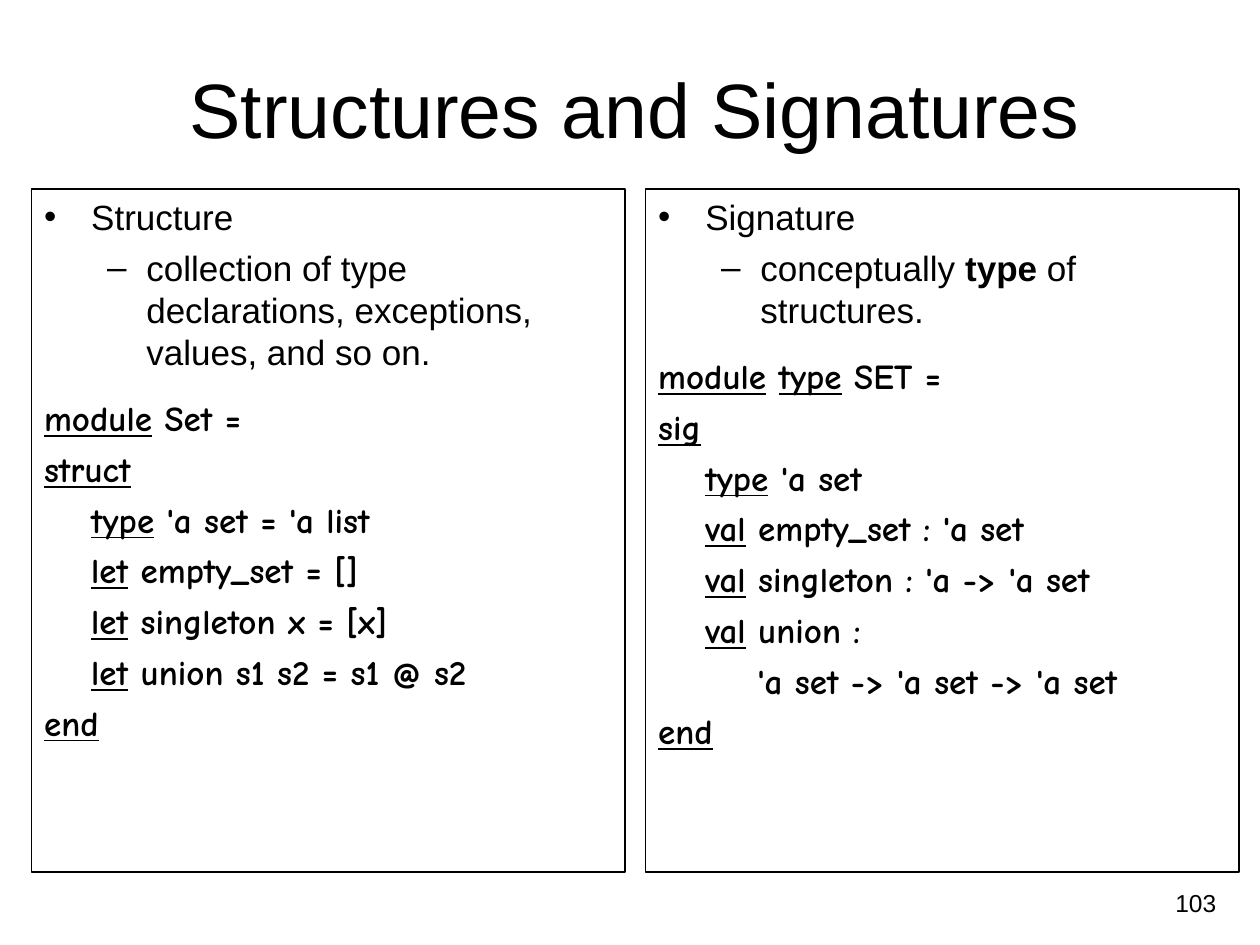
from lxml.etree import SubElement
from pptx import Presentation
from pptx.dml.color import RGBColor
from pptx.enum.shapes import MSO_SHAPE
from pptx.enum.text import MSO_ANCHOR, PP_ALIGN
from pptx.oxml.ns import qn
from pptx.util import Cm, Pt

COLORS = {"ink": "000000"}
PROSE_FONT = "Arial"
CODE_FONT = "Comic Neue"
BODY_SIZE = 20
MARGIN = 0.64
PANEL_TOP, PANEL_WIDTH, PANEL_HEIGHT = 3.81, 11.96, 13.77
PANEL_STEP = 12.38
CODE_INDENTS = [0, 0.95, 2]
BULLETS = [("•", 0.95, 0.95), ("–", 2.06, 0.79)]

STRUCTURE = {
    "prose": ["Structure",
              "collection of type declarations, exceptions, values, and so on."],
    "code": [
        (0, "*module* Set ="),
        (0, "*struct*"),
        (1, "*type* 'a set = 'a list"),
        (1, "*let* empty_set = []"),
        (1, "*let* singleton x = [x]"),
        (1, "*let* union s1 s2 = s1 @ s2"),
        (0, "*end*"),
    ],
}
SIGNATURE = {
    "prose": ["Signature", "conceptually *type* of structures."],
    "code": [
        (0, "*module* *type* SET ="),
        (0, "*sig*"),
        (1, "*type* 'a set"),
        (1, "*val* empty_set : 'a set"),
        (1, "*val* singleton : 'a -> 'a set"),
        (1, "*val* union :"),
        (2, "'a set -> 'a set -> 'a set"),
        (0, "*end*"),
    ],
}


def color(name):
    return RGBColor.from_string(COLORS[name])


def add_run(paragraph, text, size, font=PROSE_FONT, bold=False, underline=False):
    run = paragraph.add_run()
    run.text = text
    run.font.size = Pt(size)
    run.font.name = font
    run.font.bold = bold
    run.font.underline = underline
    run.font.color.rgb = color("ink")


def set_insets(frame):
    frame.word_wrap = True
    frame.margin_left = frame.margin_right = Cm(0.25)
    frame.margin_top = frame.margin_bottom = Cm(0.13)


def add_label(slide, box, text, size, align, anchor=MSO_ANCHOR.TOP):
    frame = slide.shapes.add_textbox(*map(Cm, box)).text_frame
    set_insets(frame)
    frame.vertical_anchor = anchor
    paragraph = frame.paragraphs[0]
    paragraph.alignment = align
    add_run(paragraph, text, size)


def format_paragraph(paragraph, left, hanging=0, space=5):
    paragraph.alignment = PP_ALIGN.LEFT
    paragraph.space_before = Pt(space)
    properties = paragraph._p.get_or_add_pPr()
    properties.set("marL", str(Cm(left)))
    properties.set("indent", str(-Cm(hanging)))
    return properties


def add_prose(paragraph, level, text):
    bullet, left, hanging = BULLETS[level]
    paragraph.level = level
    properties = format_paragraph(paragraph, left, hanging)
    bullet_color = SubElement(properties, qn("a:buClr"))
    SubElement(bullet_color, qn("a:srgbClr"), val=COLORS["ink"])
    SubElement(properties, qn("a:buFont"), typeface=PROSE_FONT)
    SubElement(properties, qn("a:buChar"), char=bullet)
    for index, piece in enumerate(text.split("*")):
        if piece:
            add_run(paragraph, piece, BODY_SIZE, bold=index % 2 == 1)


def add_code(paragraph, depth, text, space):
    format_paragraph(paragraph, CODE_INDENTS[depth], space=space)
    for index, piece in enumerate(text.split("*")):
        if piece:
            add_run(paragraph, piece, BODY_SIZE, CODE_FONT,
                    bold=True, underline=index % 2 == 1)


def add_panel(slide, left, content):
    panel = slide.shapes.add_shape(
        MSO_SHAPE.RECTANGLE, Cm(left), Cm(PANEL_TOP), Cm(PANEL_WIDTH), Cm(PANEL_HEIGHT))
    panel.shadow.inherit = False
    panel.fill.background()
    panel.line.color.rgb = color("ink")
    panel.line.width = Pt(0.75)
    frame = panel.text_frame
    set_insets(frame)
    frame.vertical_anchor = MSO_ANCHOR.TOP
    for level, text in enumerate(content["prose"]):
        paragraph = frame.add_paragraph() if level else frame.paragraphs[0]
        add_prose(paragraph, level, text)
    for row, (depth, text) in enumerate(content["code"]):
        add_code(frame.add_paragraph(), depth, text, space=5 if row else 14)


def main():
    presentation = Presentation()
    presentation.slide_width = Cm(25.4)
    presentation.slide_height = Cm(19.05)
    slide = presentation.slides.add_slide(presentation.slide_layouts[6])
    add_label(slide, (MARGIN, 0.76, 24.33, 2.84), "Structures and Signatures", 44,
              PP_ALIGN.CENTER, MSO_ANCHOR.MIDDLE)
    for column, content in enumerate([STRUCTURE, SIGNATURE]):
        add_panel(slide, MARGIN + column * PANEL_STEP, content)
    add_label(slide, (18.85, 17.78, 5.92, 0.89), "103", 14, PP_ALIGN.RIGHT)
    presentation.save("out.pptx")


if __name__ == "__main__":
    main()
